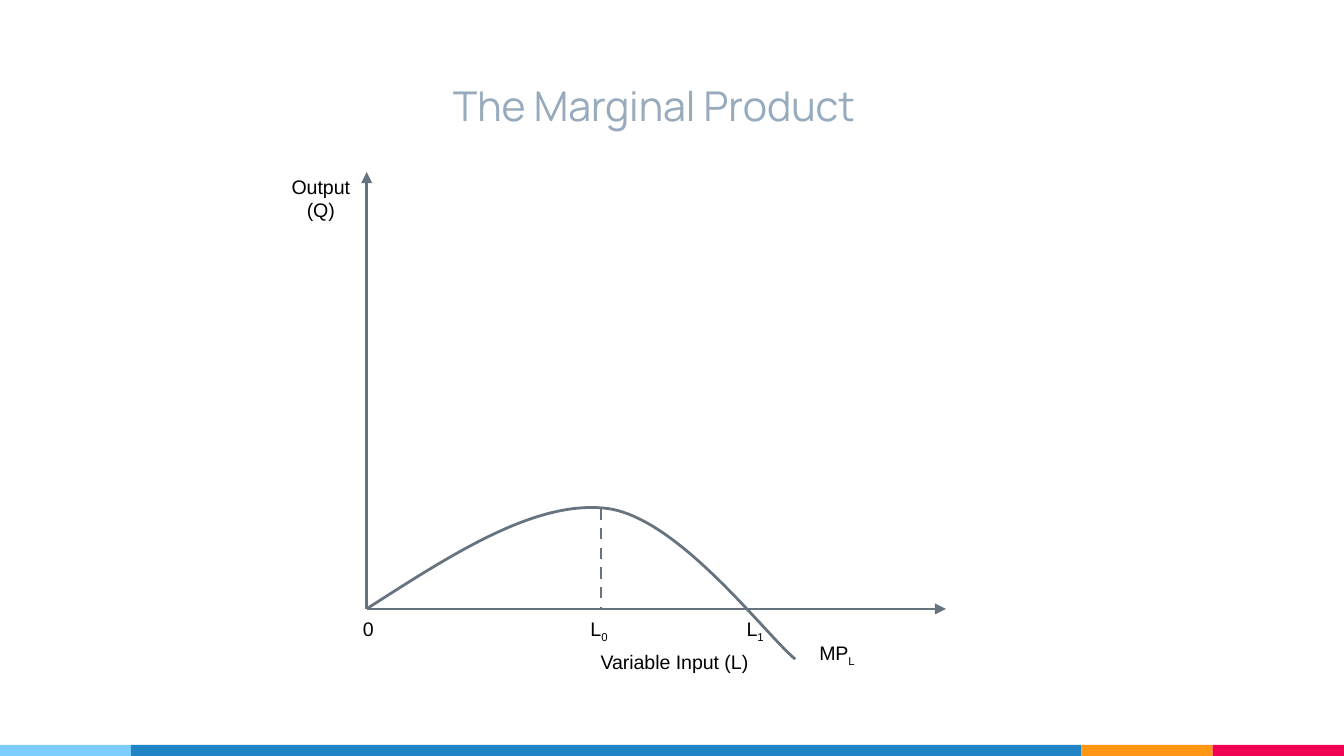
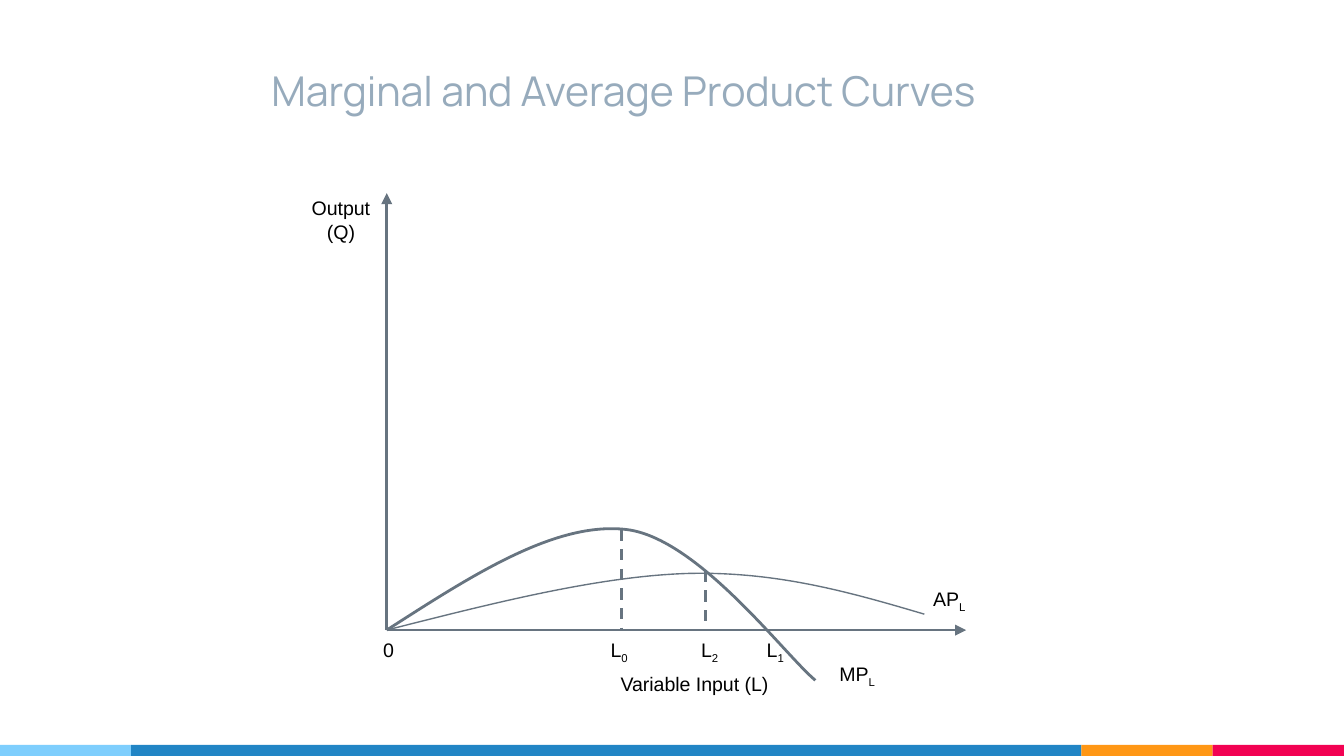
"""Build two slides that plot the product curves of a variable input."""
from lxml.etree import SubElement
from pptx import Presentation
from pptx.dml.color import RGBColor
from pptx.enum.dml import MSO_LINE
from pptx.enum.shapes import MSO_CONNECTOR, MSO_SHAPE
from pptx.enum.text import MSO_ANCHOR, MSO_AUTO_SIZE, PP_ALIGN
from pptx.oxml.ns import qn
from pptx.util import Cm, Pt

SKY = RGBColor(0x7E, 0xCE, 0xFD)
BLUE = RGBColor(0x21, 0x85, 0xC5)
ORANGE = RGBColor(0xFF, 0x97, 0x15)
RED = RGBColor(0xF2, 0x02, 0x53)
SLATE = RGBColor(0x67, 0x74, 0x80)
MIST = RGBColor(0x97, 0xAB, 0xBC)
BLACK = RGBColor(0, 0, 0)

WIDTH, HEIGHT = 25.4, 14.29
BAND = 0.21
EDGE = 2.48
BANDS = [(SKY, EDGE), (BLUE, WIDTH - 3 * EDGE), (ORANGE, EDGE), (RED, EDGE)]

MARGIN = [(1.59, -1.02), (3.18, -2.06), (4.53, -1.9),
          (5.88, -1.74), (7.53, 0.48), (8.1, 0.95)]
MEAN = [(2.01, -0.51), (4.01, -1.02), (5.7, -1.07),
        (7.38, -1.11), (8.77, -0.71), (10.16, -0.3)]


def add_run(para, text, font, size, color, sub=False):
    """Add one styled run, lowered if it is a subscript."""
    run = para.add_run()
    run.text = text
    run.font.name = font
    run.font.size = Pt(size)
    run.font.color.rgb = color
    if sub:
        run.font._element.set("baseline", "-25000")


def add_title(slide, text, box):
    """Write the slide title at the bottom of its box."""
    frame = slide.shapes.add_textbox(*map(Cm, box)).text_frame
    frame.word_wrap = True
    frame.vertical_anchor = MSO_ANCHOR.BOTTOM
    frame.margin_left = frame.margin_right = Cm(0.25)
    frame.margin_top = frame.margin_bottom = Cm(0.25)
    add_run(frame.paragraphs[0], text, "Manrope", 22, MIST)


def add_bands(slide):
    """Lay the coloured bands side by side along the foot."""
    left = 0
    for color, width in BANDS:
        band = slide.shapes.add_shape(
            MSO_SHAPE.RECTANGLE, Cm(left), Cm(HEIGHT - BAND), Cm(width), Cm(BAND))
        band.shadow.inherit = False
        band.fill.solid()
        band.fill.fore_color.rgb = color
        band.line.fill.background()
        left += width


def add_line(shapes, start, end, dash=False, arrow=False):
    """Draw a straight line, dashed or with an arrowhead if asked."""
    line = shapes.add_connector(MSO_CONNECTOR.STRAIGHT, *map(Cm, start + end))
    line.line.color.rgb = SLATE
    line.line.width = Pt(1.5)
    if dash:
        line.line.dash_style = MSO_LINE.DASH
    if arrow:
        SubElement(line.line._get_or_add_ln(), qn("a:tailEnd"), type="triangle")
    SubElement(line._element.spPr, qn("a:effectLst"))


def add_curve(slide, zero, points, weight):
    """Draw a curve from the zero point through pairs of cubic arcs."""
    x, y = zero
    form = slide.shapes.build_freeform(Cm(x), Cm(y))
    form.add_line_segments([(Cm(x + dx), Cm(y + dy)) for dx, dy in points], close=False)
    curve = form.convert_to_shape()
    curve.shadow.inherit = False
    curve.fill.background()
    curve.line.color.rgb = SLATE
    curve.line.width = Pt(weight)
    steps = list(curve._element.iter(qn("a:lnTo")))
    trace = steps[0].getparent()
    for i in range(0, len(steps), 3):
        arc = SubElement(trace, qn("a:cubicBezTo"))
        for step in steps[i:i + 3]:
            arc.append(step[0])
            trace.remove(step)


def add_label(slide, zero, box, lines, sub="", align=PP_ALIGN.LEFT):
    """Write a label in a box placed from the zero point."""
    left, top, width, height = box
    frame = slide.shapes.add_textbox(
        Cm(zero[0] + left), Cm(zero[1] + top), Cm(width), Cm(height)).text_frame
    frame.word_wrap = False
    frame.auto_size = MSO_AUTO_SIZE.SHAPE_TO_FIT_TEXT
    for i, text in enumerate(lines):
        para = frame.add_paragraph() if i else frame.paragraphs[0]
        para.alignment = align
        add_run(para, text, "Arial", 10.5, BLACK)
    if sub:
        add_run(para, sub, "Arial", 10.5, BLACK, sub=True)


def add_mark(slide, zero, left, sub):
    """Label one input level below the axis."""
    add_label(slide, zero, (left, 0.03, 0.86, 0.71), ["L"], sub)


def add_drop(slide, zero, dx, rise):
    """Drop a dashed line from a curve to the axis."""
    x, y = zero
    add_line(slide.shapes, (x + dx, y - rise), (x + dx, y), dash=True)


def add_graph(slide, zero):
    """Draw the axes and the marginal product curve."""
    x, y = zero
    axes = slide.shapes.add_group_shape().shapes
    add_line(axes, zero, (x, y - 8.26), arrow=True)
    add_line(axes, zero, (x + 10.95, y), arrow=True)
    add_label(slide, zero, (-1.68, -8.33, 1.63, 1.14), ["Output", "(Q)"],
              align=PP_ALIGN.CENTER)
    add_label(slide, zero, (4.17, 0.66, 3.38, 0.71), ["Variable Input (L)"])
    add_label(slide, zero, (-0.32, 0.03, 0.71, 0.71), ["0"])
    add_mark(slide, zero, 3.98, "0")
    add_mark(slide, zero, 6.93, "1")
    add_drop(slide, zero, 4.43, 1.9)
    add_label(slide, zero, (8.28, 0.48, 1.22, 0.71), ["MP"], "L", PP_ALIGN.CENTER)
    add_curve(slide, zero, MARGIN, 1.5)


def add_mean(slide, zero):
    """Add the average product curve with its peak."""
    add_mark(slide, zero, 5.69, "2")
    add_drop(slide, zero, 6.02, 1.12)
    add_curve(slide, zero, MEAN, 0.75)
    add_label(slide, zero, (10.06, -0.94, 1.14, 0.71), ["AP"], "L", PP_ALIGN.CENTER)


def add_page(deck, title, box, zero):
    """Add a slide with bands, title and the basic graph."""
    slide = deck.slides.add_slide(deck.slide_layouts[6])
    add_bands(slide)
    add_title(slide, title, box)
    add_graph(slide, zero)
    return slide


def main():
    """Build and save the deck."""
    deck = Presentation()
    deck.slide_width, deck.slide_height = Cm(WIDTH), Cm(HEIGHT)
    add_page(deck, "The Marginal Product", (8.31, 0.81, 13.92, 1.9), (6.93, 11.51))
    zero = (7.31, 11.91)
    slide = add_page(deck, "Marginal and Average Product Curves",
                     (4.88, 0.99, 15.57, 1.42), zero)
    add_mean(slide, zero)
    deck.save("out.pptx")


if __name__ == "__main__":
    main()
